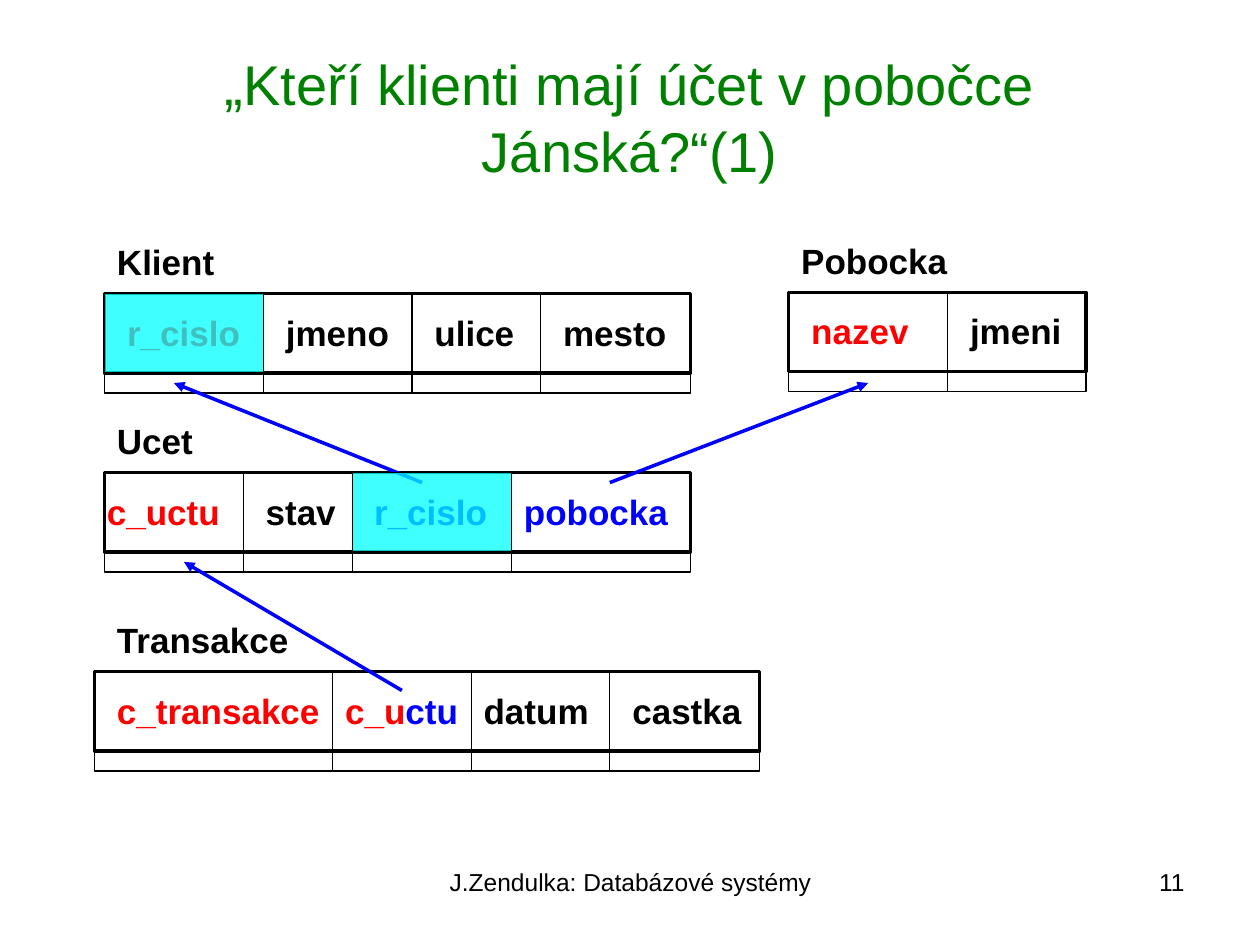
from lxml import etree
from pptx import Presentation
from pptx.dml.color import RGBColor
from pptx.enum.shapes import MSO_CONNECTOR, MSO_SHAPE
from pptx.enum.text import MSO_ANCHOR, MSO_AUTO_SIZE, PP_ALIGN
from pptx.oxml.ns import qn
from pptx.util import Inches, Pt

STRAIGHT = MSO_CONNECTOR.STRAIGHT
RECTANGLE = MSO_SHAPE.RECTANGLE
MIDDLE = MSO_ANCHOR.MIDDLE
TOP = MSO_ANCHOR.TOP
FIT_SHAPE = MSO_AUTO_SIZE.SHAPE_TO_FIT_TEXT
LEFT, CENTER, RIGHT = PP_ALIGN.LEFT, PP_ALIGN.CENTER, PP_ALIGN.RIGHT

COLORS = {
    "text": "000000",
    "title": "008000",
    "primary": "FF0000",
    "foreign": "0000FF",
    "highlight": "00FFFF",
}
FONT = "Arial"
HEADER_HEIGHT = 0.63
ROW_HEIGHT = 0.16
TEXT_HEIGHT = 0.44
LABEL_RISE = 0.47
CELL_DROP = 0.09
WIDTH_SLACK = 0.03

RELATIONS = [
    {"label": ("Klient", 0.83, 1.02), "at": (0.83, 2.33, 4.65),
     "dividers": [2.09, 3.27, 4.29],
     "cells": [(0.91, 1.09, [("r_cislo", "primary")]),
               (2.17, 1.02, [("jmeno", "text")]),
               (3.35, 0.83, [("ulice", "text")]),
               (4.37, 1.02, [("mesto", "text")])]},
    {"label": ("Pobocka", 6.26, 1.42), "at": (6.26, 2.32, 2.36),
     "dividers": [7.52],
     "cells": [(6.34, 0.97, [("nazev", "primary")]),
               (7.6, 0.92, [("jmeni", "text")])]},
    {"label": ("Ucet", 0.83, 0.87), "at": (0.83, 3.75, 4.65),
     "dividers": [1.93, 2.8, 4.06],
     "cells": [(0.75, 1.09, [("c_uctu", "primary")]),
               (2.01, 0.75, [("stav", "text")]),
               (2.87, 1.09, [("r_cislo", "foreign")]),
               (4.06, 1.34, [("pobocka", "foreign")])]},
    {"label": ("Transakce", 0.83, 1.65), "at": (0.75, 5.33, 5.28),
     "dividers": [2.64, 3.74, 4.84],
     "cells": [(0.83, 1.81, [("c_transakce", "primary")]),
               (2.64, 1.09, [("c_u", "primary"), ("ctu", "foreign")]),
               (3.74, 1.03, [("datum", "text")]),
               (4.92, 1.06, [("castka", "text")])]},
]
REFERENCES = [
    ((3.19, 5.48), (1.46, 4.46)),
    ((3.35, 3.83), (1.38, 3.04)),
    ((4.84, 3.83), (6.89, 3.04)),
]
JOIN_COLUMNS = [(2.8, 3.75), (0.83, 2.33)]
JOIN_WIDTH = 1.26


def rgb(name):
    return RGBColor.from_string(COLORS[name])


def add_text(page, at, spans, size, bold=False, align=LEFT, anchor=TOP, wrap=True):
    box = page.shapes.add_textbox(*map(Inches, at))
    frame = box.text_frame
    frame.word_wrap = wrap
    frame.vertical_anchor = anchor
    para = frame.paragraphs[0]
    para.alignment = align
    for text, color in spans:
        span = para.add_run()
        span.text = text
        span.font.name = FONT
        span.font.size = Pt(size)
        span.font.bold = bold
        span.font.color.rgb = rgb(color)
    return box


def add_name(page, left, top, width, spans, wrap):
    at = (left, top, width + WIDTH_SLACK, TEXT_HEIGHT)
    box = add_text(page, at, spans, 20, bold=True, wrap=wrap)
    box.text_frame.auto_size = FIT_SHAPE


def add_rectangle(page, at, weight):
    shape = page.shapes.add_shape(RECTANGLE, *map(Inches, at))
    shape.shadow.inherit = False
    shape.fill.background()
    shape.line.color.rgb = rgb("text")
    shape.line.width = Pt(weight)
    return shape


def add_line(page, start, end, color, weight):
    line = page.shapes.add_connector(STRAIGHT, *map(Inches, start + end))
    line.line.color.rgb = rgb(color)
    line.line.width = Pt(weight)
    etree.SubElement(line._element.spPr, qn("a:effectLst"))
    return line


def add_reference(page, start, end):
    arrow = add_line(page, start, end, "foreign", 2)
    outline = arrow._element.spPr.find(qn("a:ln"))
    etree.SubElement(outline, qn("a:tailEnd"), type="triangle")


def add_relation(page, label, at, dividers, cells):
    left, top, width = at
    row_top = top + HEADER_HEIGHT
    add_rectangle(page, (left, top, width, HEADER_HEIGHT), 2)
    add_rectangle(page, (left, row_top, width, ROW_HEIGHT), 0.75)
    for cell_left, cell_width, spans in cells:
        add_name(page, cell_left, top + CELL_DROP, cell_width, spans, wrap=False)
    for x in dividers:
        add_line(page, (x, top), (x, row_top + ROW_HEIGHT), "text", 0.75)
    name, label_left, label_width = label
    add_name(page, label_left, top - LABEL_RISE, label_width, [(name, "text")], wrap=True)


def add_highlight(page, left, top):
    shape = add_rectangle(page, (left, top, JOIN_WIDTH, HEADER_HEIGHT), 0.75)
    shape.fill.solid()
    shape.fill.fore_color.rgb = rgb("highlight")
    color = shape._element.spPr.find(qn("a:solidFill")).find(qn("a:srgbClr"))
    etree.SubElement(color, qn("a:alpha"), val="75000")


def main():
    deck = Presentation()
    deck.slide_width = Inches(10)
    deck.slide_height = Inches(7.5)
    page = deck.slides.add_slide(deck.slide_layouts[6])

    add_text(page, (3.42, 6.83, 3.17, 0.52),
             [("J.Zendulka: Databázové systémy", "text")], 14, align=CENTER)
    add_text(page, (7.17, 6.83, 2.33, 0.52), [("11", "text")], 14, align=RIGHT)
    add_text(page, (0.5, 0.3, 9, 1.25),
             [("„Kteří klienti mají účet v pobočce Jánská?“(1)", "title")],
             32, align=CENTER, anchor=MIDDLE)
    for relation in RELATIONS:
        add_relation(page, **relation)
    for start, end in REFERENCES:
        add_reference(page, start, end)
    for left, top in JOIN_COLUMNS:
        add_highlight(page, left, top)

    deck.save("out.pptx")


if __name__ == "__main__":
    main()
